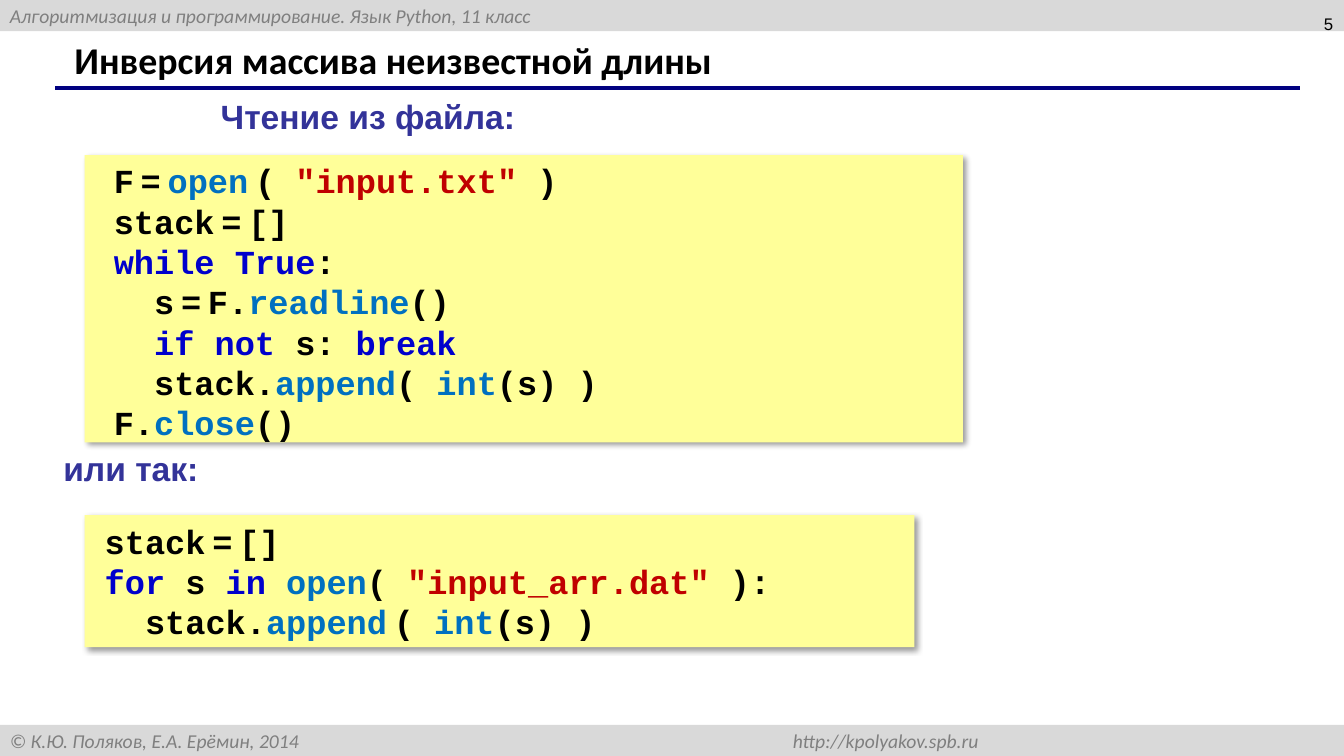
from lxml import etree
from pptx import Presentation
from pptx import util as u
from pptx.dml.color import RGBColor
from pptx.enum import shapes, text
from pptx.oxml import parse_xml
from pptx.oxml.ns import nsdecls, qn

COLOURS = {"bar": "D9D9D9", "bar text": "7F7F7F", "rule": "000080", "label": "333399",
           "code box": "FFFF99", "plain": "000000", "keyword": "0000CC",
           "function": "0070C0", "string": "C00000"}
BAR_FORMAT = {"name": "Calibri", "size": u.Pt(14), "italic": True}
TITLE_FORMAT = {"name": "Calibri", "size": u.Pt(27), "bold": True}
NUMBER_FORMAT = {"name": "Arial", "size": u.Pt(12)}
LABEL_FORMAT = {"name": "Arial", "size": u.Pt(24), "bold": True}
CODE_FORMAT = {"name": "Courier New", "size": u.Pt(24), "bold": True}
NARROW_FORMAT = {**CODE_FORMAT, "size": u.Pt(8)}

# Content: (left, top, width, height), then text; "~" in code is a narrow space
BARS = [
    (0, "Алгоритмизация и программирование. Язык Python, 11 класс"),
    (7.19, "© К.Ю. Поляков, Е.А. Ерёмин, 2014 \thttp://kpolyakov.spb.ru"),
]
LABELS = [
    ((2.09, 0.9, 3.15, 0.51), "Чтение из файла:"),
    ((0.53, 4.39, 1.56, 0.51), "или так:"),
]
READ_LOOP = [
    [("F~=~", "plain"), ("open~", "function"), ("( ", "plain"),
     ('"input.txt" ', "string"), (")", "plain")],
    [("stack~=~[]", "plain")],
    [("while True", "keyword"), (":", "plain")],
    [("  s~=~F.", "plain"), ("readline", "function"), ("()", "plain")],
    [("  ", "plain"), ("if not", "keyword"), (" s: ", "plain"), ("break", "keyword")],
    [("  stack.", "plain"), ("append", "function"), ("( ", "plain"),
     ("int", "function"), ("(s) )", "plain")],
    [("F.", "plain"), ("close", "function"), ("()", "plain")],
]
FOR_LOOP = [
    [("stack~=~[]", "plain")],
    [("for", "keyword"), (" s ", "plain"), ("in ", "keyword"), ("open", "function"),
     ("( ", "plain"), ('"input_arr.dat"', "string"), (" ):", "plain")],
    [("  stack.", "plain"), ("append~", "function"), ("( ", "plain"),
     ("int", "function"), ("(s) )", "plain")],
]

presentation = Presentation()
presentation.slide_width = u.Inches(13.33)
presentation.slide_height = u.Inches(7.5)
slide = presentation.slides.add_slide(presentation.slide_layouts[6])


def add_run(paragraph, content, colour, font_format):
    run = paragraph.add_run()
    run.text = content
    for name, value in font_format.items():
        setattr(run.font, name, value)
    run.font.color.rgb = RGBColor.from_string(COLOURS[colour])


def add_box(place, fill):
    box = slide.shapes.add_shape(shapes.MSO_SHAPE.RECTANGLE, *map(u.Inches, place))
    box.shadow.inherit = False
    box.fill.solid()
    box.fill.fore_color.rgb = RGBColor.from_string(COLOURS[fill])
    box.line.fill.background()
    return box


def add_text(place, wrap=True, anchor=text.MSO_ANCHOR.TOP):
    frame = slide.shapes.add_textbox(*map(u.Inches, place)).text_frame
    frame.word_wrap = wrap
    frame.vertical_anchor = anchor
    return frame


def add_shadow(box):
    effects = box._element.spPr.find(qn("a:effectLst"))
    effects.append(parse_xml(
        f'<a:outerShdw {nsdecls("a")} blurRad="{u.Pt(4)}" dist="{u.Pt(3)}" '
        'dir="2700000" algn="tl" rotWithShape="0"><a:srgbClr val="000000">'
        '<a:alpha val="40000"/></a:srgbClr></a:outerShdw>'))


def write_code(frame, lines):
    for number, line in enumerate(lines):
        paragraph = frame.paragraphs[0] if number == 0 else frame.add_paragraph()
        paragraph.alignment = text.PP_ALIGN.JUSTIFY
        properties = paragraph._p.get_or_add_pPr()
        properties.set("marL", str(u.Inches(0.2)))
        properties.set("indent", str(u.Inches(-0.1)))
        for content, colour in line:
            for index, part in enumerate(content.split("~")):
                if index:
                    add_run(paragraph, " ", colour, NARROW_FORMAT)
                if part:
                    add_run(paragraph, part, colour, CODE_FORMAT)


# Bars at the top and bottom
for top, content in BARS:
    frame = add_box((0, top, 13.33, 0.31), "bar").text_frame
    frame.vertical_anchor = text.MSO_ANCHOR.MIDDLE
    paragraph = frame.paragraphs[0]
    paragraph.alignment = text.PP_ALIGN.LEFT
    tabs = etree.SubElement(paragraph._p.get_or_add_pPr(), qn("a:tabLst"))
    etree.SubElement(tabs, qn("a:tab"), pos=str(u.Inches(9.61)), algn="r")
    add_run(paragraph, content, "bar text", BAR_FORMAT)

# Title, rule and slide number
rule = slide.shapes.add_connector(
    shapes.MSO_CONNECTOR.STRAIGHT, *map(u.Inches, (0.55, 0.87, 12.89, 0.87)))
rule.line.color.rgb = RGBColor.from_string(COLOURS["rule"])
rule.line.width = u.Pt(3)
etree.SubElement(rule._element.spPr, qn("a:effectLst"))
title = add_text((0.64, 0.36, 9.16, 0.52), anchor=text.MSO_ANCHOR.MIDDLE).paragraphs[0]
title.line_spacing = 0.9
add_run(title, "Инверсия массива неизвестной длины", "plain", TITLE_FORMAT)
number = add_text((10.21, -0.02, 3.11, 0.52), anchor=text.MSO_ANCHOR.MIDDLE).paragraphs[0]
number.alignment = text.PP_ALIGN.RIGHT
add_run(number, "5", "plain", NUMBER_FORMAT)

# Code boxes; the first one's text lies in a frame of its own
read_box = add_box((0.84, 1.54, 8.71, 2.85), "code box")
for_box = add_box((0.84, 5.11, 8.23, 1.31), "code box")
for box in (read_box, for_box):
    add_shadow(box)
for_box.text_frame.vertical_anchor = text.MSO_ANCHOR.MIDDLE
write_code(for_box.text_frame, FOR_LOOP)
write_code(add_text((0.93, 1.54, 6.99, 2.93)), READ_LOOP)

# Labels
for place, content in LABELS:
    add_run(add_text(place, wrap=False).paragraphs[0], content, "label", LABEL_FORMAT)

presentation.save("out.pptx")
